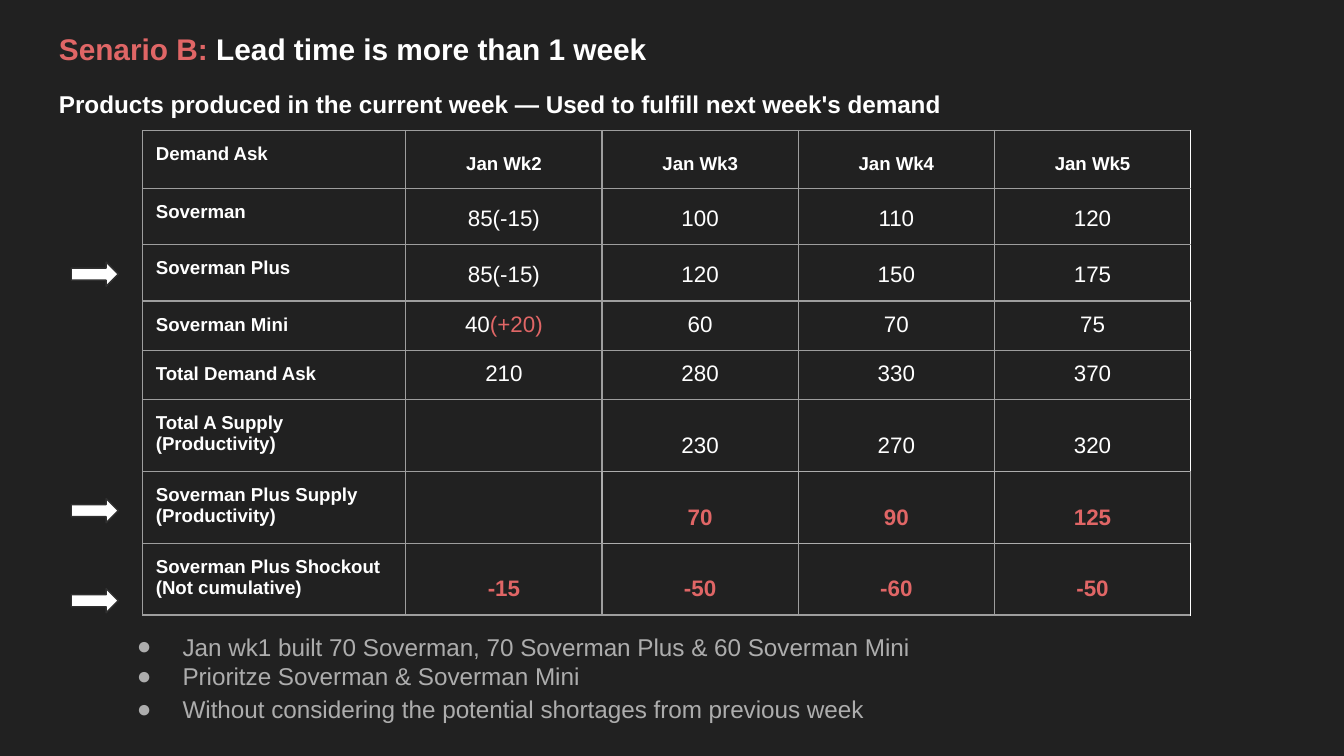
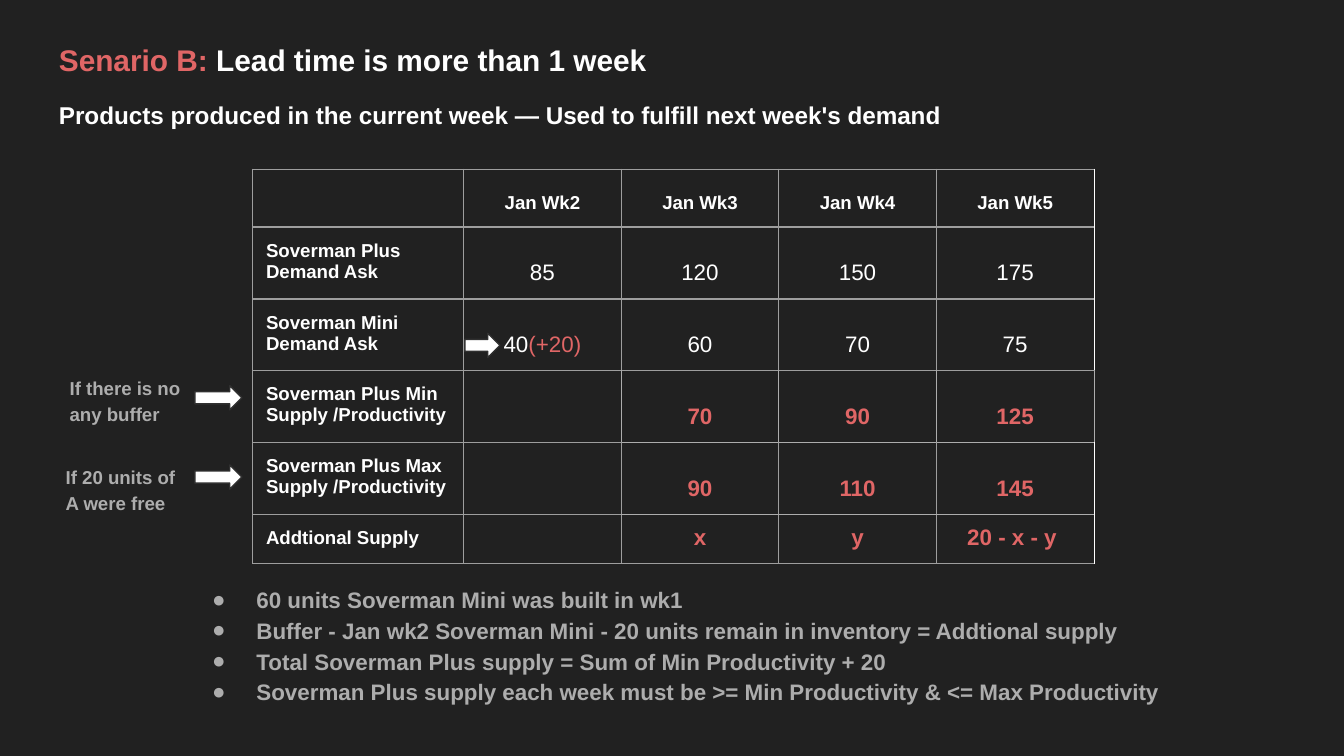
from dataclasses import dataclass
from typing import Any, NamedTuple

from lxml.etree import SubElement
from pptx import Presentation
from pptx.dml.color import RGBColor
from pptx.enum.shapes import MSO_SHAPE as Preset
from pptx.enum.text import MSO_ANCHOR as Anchor, PP_ALIGN as Align
from pptx.oxml.ns import qn
from pptx.util import Inches, Pt


@dataclass(frozen=True)
class Theme:
    font: str = "Arial"
    background: str = "212121"
    accent: str = "E06666"
    text: str = "FFFFFF"
    muted: str = "ADADAD"
    grid: str = "9E9E9E"
    arrow_edge: str = "303030"
    title: float = 16
    subtitle: float = 13
    value: float = 12
    label: float = 10
    grid_width: float = 0.75
    edge_width: float = 0.38
    spacing: float = 1.15


THEME = Theme()
WEEKS = ("Jan Wk2", "Jan Wk3", "Jan Wk4", "Jan Wk5")


class Span(NamedTuple):
    text: str
    size: float = THEME.value
    color: str = THEME.text
    bold: bool = False


class Box(NamedTuple):
    left: float
    top: float
    width: float
    height: float

    def lengths(self) -> list[int]:
        return [Inches(side) for side in self]


class Row(NamedTuple):
    label: str
    values: tuple[str, ...]
    height: float = 0  # zero lets the row grow to its text
    heading: bool = False
    key: bool = False  # bold accent figures
    soft_sides: bool = False  # lighter lines beside the figures
    soft_bottom: bool = False  # lighter line under the figures
    spacing: float = THEME.spacing


class Grid(NamedTuple):
    box: Box
    label_width: float
    rows: list[Row]


class Bullets(NamedTuple):
    box: Box
    lines: tuple[str, ...]
    size: float
    bold: bool
    hang: float
    tight_lines: tuple[int, ...] = ()


class Note(NamedTuple):
    box: Box
    text: str


class Scenario(NamedTuple):
    title_top: float
    grid: Grid
    arrows: list[Box]
    bullets: Bullets
    notes: list[Note]


def set_all(target: Any, values: dict[str, Any]) -> None:
    for name, value in values.items():
        setattr(target, name, value)


def write(paragraph: Any, spans: list[Span], **layout: Any) -> None:
    set_all(paragraph, layout)
    for span in spans:
        run = paragraph.add_run()
        run.text = span.text
        set_all(run.font, {"name": THEME.font, "size": Pt(span.size), "bold": span.bold})
        run.font.color.rgb = RGBColor.from_string(span.color)


def add_text_frame(slide: Any, box: Box) -> Any:
    frame = slide.shapes.add_textbox(*box.lengths()).text_frame
    sides = ("left", "top", "right", "bottom")
    set_all(frame, {f"margin_{side}": Inches(0.1) for side in sides})
    set_all(frame, {"word_wrap": True, "vertical_anchor": Anchor.TOP})
    return frame


def add_title(slide: Any, top: float) -> None:
    frame = add_text_frame(slide, Box(0.34, top, 9.32, 0.88))
    write(frame.paragraphs[0], [
        Span("Senario B: ", THEME.title, THEME.accent, True),
        Span("Lead time is more than 1 week", THEME.title, bold=True),
    ], line_spacing=THEME.spacing)
    subtitle = "Products produced in the current week — Used to fulfill next week's demand"
    write(frame.add_paragraph(), [Span(subtitle, THEME.subtitle, bold=True)], space_before=Pt(12))


def add_bullets(slide: Any, bullets: Bullets) -> None:
    frame = add_text_frame(slide, bullets.box)
    for index, line in enumerate(bullets.lines):
        paragraph = frame.add_paragraph() if index else frame.paragraphs[0]
        spacing = 1.0 if index in bullets.tight_lines else THEME.spacing
        write(paragraph, [Span(line, bullets.size, THEME.muted, bullets.bold)], line_spacing=spacing)
        properties = paragraph._p.get_or_add_pPr()
        properties.set("marL", str(Inches(0.5)))
        properties.set("indent", str(-Inches(bullets.hang)))
        SubElement(SubElement(properties, qn("a:buClr")), qn("a:srgbClr"), val=THEME.muted)
        SubElement(properties, qn("a:buFont"), typeface=THEME.font)
        SubElement(properties, qn("a:buChar"), char="●")


def add_note(slide: Any, note: Note) -> None:
    frame = add_text_frame(slide, note.box)
    write(frame.paragraphs[0], [Span(note.text, THEME.label, THEME.muted, True)],
          line_spacing=THEME.spacing, space_after=Pt(12))


def add_arrow(slide: Any, box: Box) -> None:
    arrow = slide.shapes.add_shape(Preset.RIGHT_ARROW, *box.lengths())
    arrow.shadow.inherit = False
    arrow.fill.solid()
    arrow.fill.fore_color.rgb = RGBColor.from_string(THEME.text)
    arrow.line.color.rgb = RGBColor.from_string(THEME.arrow_edge)
    arrow.line.width = Pt(THEME.grid_width)


def value_spans(row: Row, value: str) -> list[Span]:
    if row.heading:
        return [Span(value, THEME.label, bold=True)]
    if row.key:
        return [Span(value, color=THEME.accent, bold=True)]
    # A surplus such as (+20) stands out in the accent colour.
    amount, mark, surplus = value.partition("(+")
    return [Span(amount)] + ([Span(mark + surplus, color=THEME.accent)] if mark else [])


def border_cell(cell: Any, rows: list[Row], row_index: int, column: int) -> None:
    row, figures = rows[row_index], column >= 2
    soft = {
        "L": figures and row.soft_sides,
        "R": column >= 1 and row.soft_sides,
        "T": figures and row_index > 0 and rows[row_index - 1].soft_bottom,
        "B": figures and row.soft_bottom,
    }
    for side, is_soft in soft.items():
        outer = side == "R" and column == len(WEEKS)
        color = THEME.muted if is_soft else THEME.text if outer else THEME.grid
        width = Pt(THEME.edge_width if outer else THEME.grid_width)
        line = SubElement(cell._tc.get_or_add_tcPr(), qn(f"a:ln{side}"), w=str(width))
        SubElement(SubElement(line, qn("a:solidFill")), qn("a:srgbClr"), val=color)


def add_grid(slide: Any, grid: Grid) -> None:
    week_width = (grid.box.width - grid.label_width) / len(WEEKS)
    widths = [grid.label_width] + [week_width] * len(WEEKS)
    holder = slide.shapes.add_table(len(grid.rows), len(widths), *grid.box.lengths())
    table = holder.table
    set_all(table, {"first_row": False, "horz_banding": False})
    for column, width in zip(table.columns, widths):
        column.width = Inches(width)
    for row_index, row in enumerate(grid.rows):
        table.rows[row_index].height = Inches(row.height)
        for column, value in enumerate((row.label, *row.values)):
            cell = table.cell(row_index, column)
            border_cell(cell, grid.rows, row_index, column)
            cell.fill.background()
            is_label = column == 0
            side = Inches(0.1 if is_label else 0.01)
            set_all(cell, {
                "margin_left": side,
                "margin_right": side,
                "margin_top": side if value else 0,
                "margin_bottom": Inches(0.1) if value else 0,
                "vertical_anchor": Anchor.TOP if is_label else Anchor.BOTTOM,
            })
            if not value:
                continue
            frame = cell.text_frame
            if not is_label:
                write(frame.paragraphs[0], value_spans(row, value),
                      alignment=Align.CENTER, line_spacing=row.spacing)
                continue
            for line_index, line in enumerate(value.split("\n")):
                paragraph = frame.add_paragraph() if line_index else frame.paragraphs[0]
                write(paragraph, [Span(line, THEME.label, bold=True)])


def arrow_at(left: float, top: float, width: float = 0.35) -> Box:
    return Box(left, top, width, 0.18)


# Demand against supply, week by week
DEMAND = Scenario(
    title_top=0.09,
    grid=Grid(Box(1.06, 0.97, 7.8, 3.6), 1.96, [
        Row("Demand Ask", WEEKS, 0.43, heading=True),
        Row("Soverman", ("85(-15)", "100", "110", "120"), 0.42),
        Row("Soverman Plus", ("85(-15)", "120", "150", "175"), 0.42),
        Row("Soverman Mini", ("40(+20)", "60", "70", "75")),
        Row("Total Demand Ask", ("210", "280", "330", "370")),
        Row("Total A Supply\n(Productivity)", ("", "230", "270", "320"),
            soft_bottom=True, spacing=1.0),
        Row("Soverman Plus Supply (Productivity)", ("", "70", "90", "125"),
            key=True, soft_sides=True, soft_bottom=True, spacing=1.0),
        Row("Soverman Plus Shockout (Not cumulative)", ("-15", "-50", "-60", "-50"), key=True),
    ]),
    arrows=[arrow_at(0.53, top) for top in (1.95, 3.71, 4.38)],
    bullets=Bullets(Box(0.76, 4.57, 9.32, 0.88), (
        "Jan wk1 built 70 Soverman, 70 Soverman Plus & 60 Soverman Mini",
        "Prioritze Soverman & Soverman Mini",
        "Without considering the potential shortages from previous week",
    ), THEME.subtitle, False, 0.34, tight_lines=(1,)),
    notes=[],
)

# Range of supply with and without the buffer
BUFFER = Scenario(
    title_top=0.17,
    grid=Grid(Box(1.88, 1.26, 6.26, 2.93), 1.57, [
        Row("", WEEKS, 0.43, heading=True),
        Row("Soverman Plus Demand Ask", ("85", "120", "150", "175"), 0.42),
        Row("Soverman Mini Demand Ask", ("40(+20)", "60", "70", "75")),
        Row("Soverman Plus Min Supply /Productivity", ("", "70", "90", "125"),
            key=True, soft_sides=True, soft_bottom=True, spacing=1.0),
        Row("Soverman Plus Max Supply /Productivity", ("", "90", "110", "145"),
            key=True, soft_bottom=True),
        Row("Addtional Supply", ("", "x", "y", "20 - x - y "), key=True),
    ]),
    arrows=[arrow_at(1.45, 2.87), arrow_at(1.45, 3.46), arrow_at(3.46, 2.48, 0.26)],
    bullets=Bullets(Box(1.31, 4.23, 8.44, 1.23), (
        "60 units Soverman Mini was built in wk1",
        "Buffer - Jan wk2 Soverman Mini - 20 units remain in inventory = Addtional supply",
        "Total Soverman Plus supply = Sum of Min Productivity + 20",
        "Soverman Plus supply each week must be >= Min Productivity & <= Max Productivity",
    ), THEME.value, True, 0.33),
    notes=[
        Note(Box(0.42, 2.68, 1.16, 0.56), "If there is no any buffer"),
        Note(Box(0.39, 3.34, 1.05, 0.56), "If 20 units of A were free"),
    ],
)


def add_scenario(deck: Any, scenario: Scenario) -> None:
    slide = deck.slides.add_slide(deck.slide_layouts[6])
    slide.background.fill.solid()
    slide.background.fill.fore_color.rgb = RGBColor.from_string(THEME.background)
    add_title(slide, scenario.title_top)
    add_grid(slide, scenario.grid)
    add_bullets(slide, scenario.bullets)
    for arrow in scenario.arrows:
        add_arrow(slide, arrow)
    for note in scenario.notes:
        add_note(slide, note)


def main() -> None:
    deck = Presentation()
    # Widescreen, 16:9
    set_all(deck, {"slide_width": Inches(10), "slide_height": Inches(10 * 9 / 16)})
    for scenario in (DEMAND, BUFFER):
        add_scenario(deck, scenario)
    deck.save("out.pptx")


if __name__ == "__main__":
    main()
